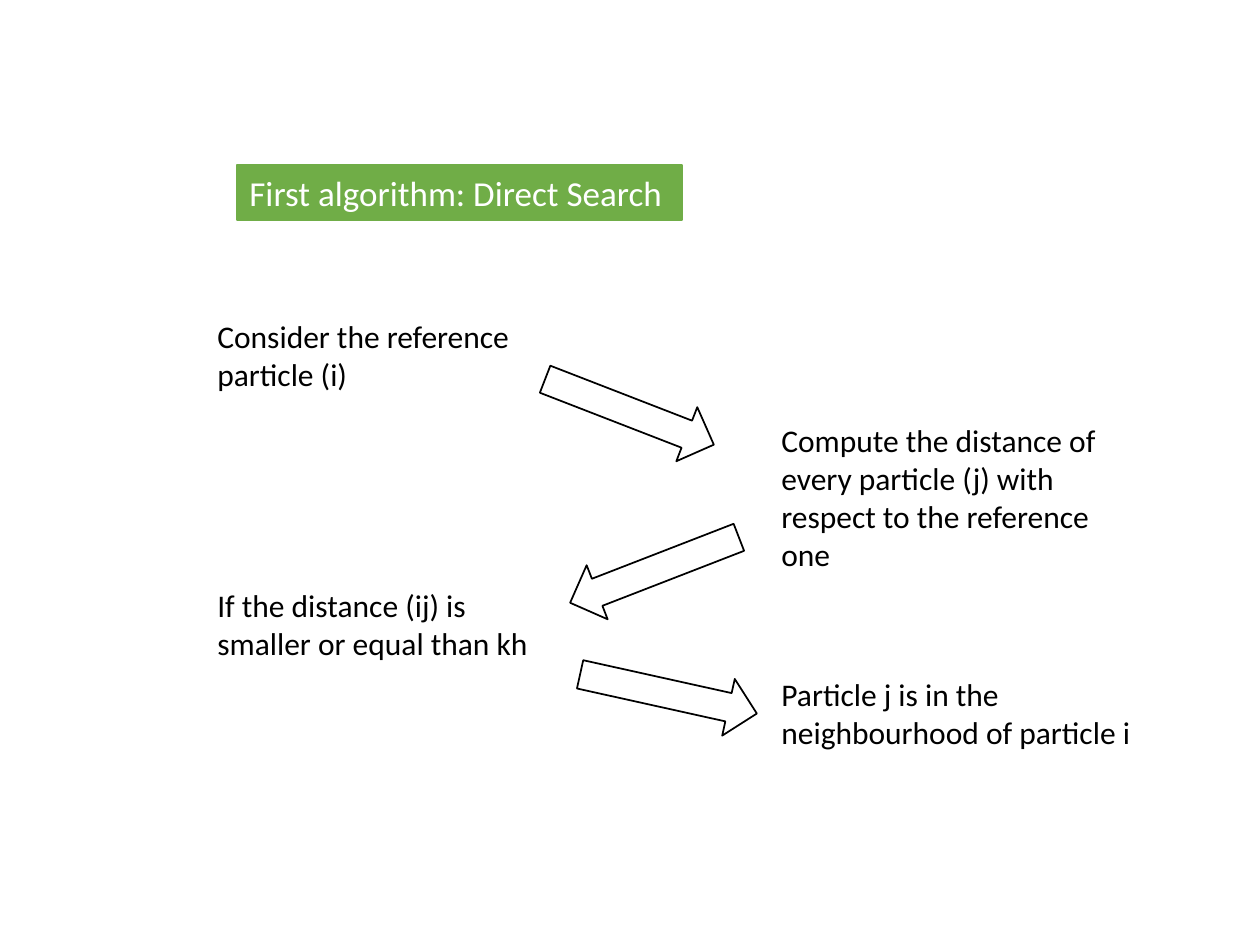
from pptx import Presentation
from pptx.dml.color import RGBColor
from pptx.enum.shapes import MSO_SHAPE
from pptx.enum.text import MSO_ANCHOR, MSO_AUTO_SIZE, PP_ALIGN
from pptx.util import Emu, Pt

PX = 914400 // 126
FONT = "Calibri"
COLORS = {"title": "70AD47", "title_text": "FFFFFF", "text": "000000", "arrow": "000000"}

# Content: boxes are left, top, width, height in px
TITLE = ("First algorithm: Direct Search", (237, 165, 445, 55))
LEFT, RIGHT = 205, 769
STEPS = [
    ("Consider the reference particle (i)", (LEFT, 311, 369, 89)),
    ("Compute the distance of every particle (j) with respect to the reference one",
     (RIGHT, 415, 369, 165)),
    ("If the distance (ij) is smaller or equal than kh", (LEFT, 580, 369, 89)),
    ("Particle j is in the neighbourhood of particle i", (RIGHT, 669, 386, 89)),
]
ARROW_SIZE = (181, 58)
ARROWS = [(539, 383, 21.2), (564, 541, 158.8), (578, 665, 12.5)]  # left, top, rotation


def emu(*lengths):
    return [Emu(n * PX) for n in lengths]


def color(name):
    return RGBColor.from_string(COLORS[name])


def write(s, text, size, color_name):
    tf = s.text_frame
    tf.word_wrap = True
    tf.auto_size = MSO_AUTO_SIZE.SHAPE_TO_FIT_TEXT
    tf.vertical_anchor = MSO_ANCHOR.TOP
    p = tf.paragraphs[0]
    p.alignment = PP_ALIGN.LEFT
    r = p.add_run()
    r.text = text
    r.font.name = FONT
    r.font.size = Pt(size)
    r.font.color.rgb = color(color_name)


prs = Presentation()
prs.slide_width, prs.slide_height = emu(1260, 945)
slide = prs.slides.add_slide(prs.slide_layouts[6])

# Title bar
text, box = TITLE
s = slide.shapes.add_shape(MSO_SHAPE.RECTANGLE, *emu(*box))
s.shadow.inherit = False
s.fill.solid()
s.fill.fore_color.rgb = color("title")
s.line.color.rgb = color("title")
s.line.width = Pt(0.75)
write(s, text, 20, "title_text")

# Steps of the algorithm
for text, box in STEPS:
    write(slide.shapes.add_textbox(*emu(*box)), text, 18, "text")

# Arrows from each step to the next
for left, top, rotation in ARROWS:
    s = slide.shapes.add_shape(MSO_SHAPE.RIGHT_ARROW, *emu(left, top, *ARROW_SIZE))
    s.rotation = rotation
    s.shadow.inherit = False
    s.fill.background()
    s.line.color.rgb = color("arrow")
    s.line.width = Pt(1)

prs.save("out.pptx")
